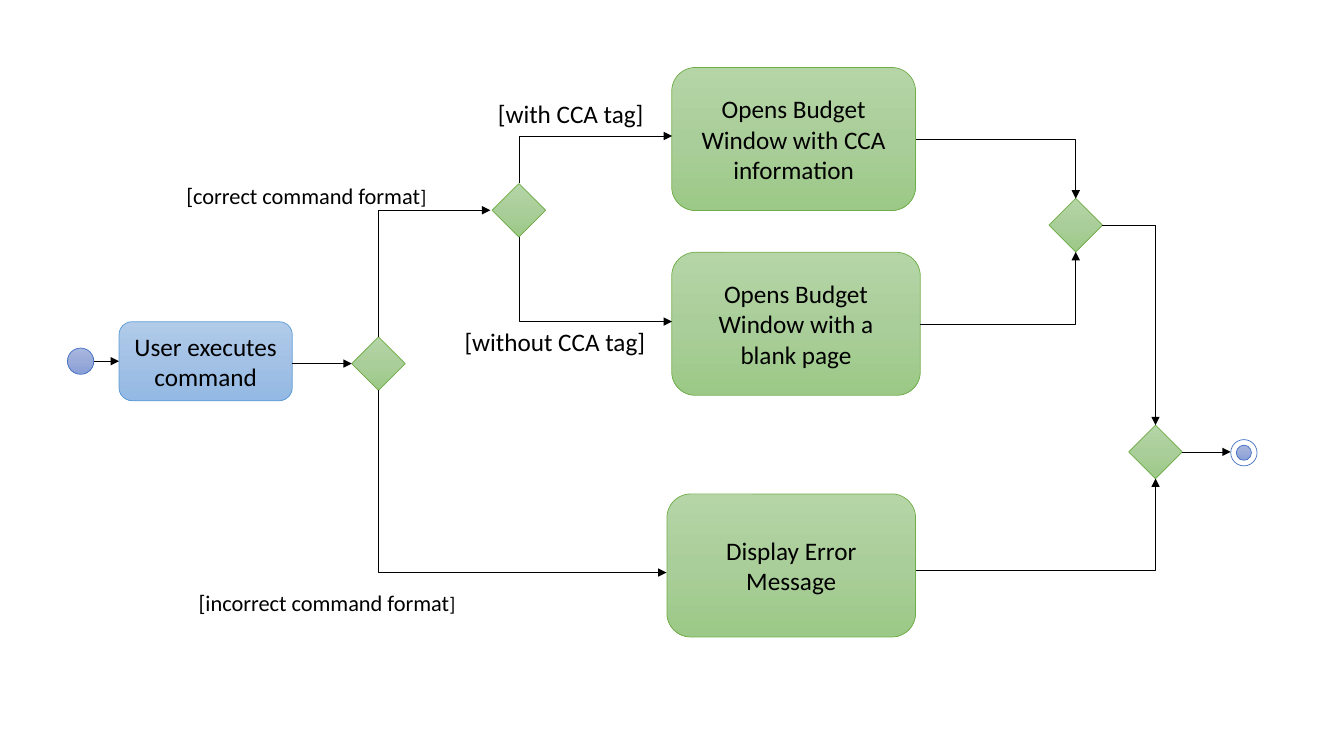
from copy import deepcopy
from lxml.etree import SubElement
from pptx import Presentation
from pptx.dml.color import RGBColor as RGB
from pptx.enum.shapes import MSO_CONNECTOR as CXN, MSO_SHAPE as SHP
from pptx.enum.text import MSO_ANCHOR as ANC, MSO_AUTO_SIZE as FIT, PP_ALIGN as AL
from pptx.oxml.ns import qn
from pptx.util import Pt

COLORS = {
    "ink": "000000", "paper": "FFFFFF",
    "green": ["B5D5A7", "AACE9A", "9CC987"], "green_line": "70AD47",
    "blue": ["B1CBE9", "A3C1E5", "93B9E4"], "blue_line": "5B9BD5",
    "indigo": ["A8B7DF", "9AABD9", "889ED7"], "indigo_line": "4472C4",
}
HALF = 19.1


class Diagram:
    font = {"name": "Calibri", "size": Pt(18)}
    frame = {"word_wrap": True, "margin_left": Pt(7.2), "margin_right": Pt(7.2),
             "margin_top": Pt(3.6), "margin_bottom": Pt(3.6)}
    line_width = Pt(0.5)

    def __init__(self, s):
        self.s = s

    def rgb(self, name):
        return RGB.from_string(COLORS[name])

    def apply(self, obj, values):
        for key, value in values.items():
            setattr(obj, key, value)

    def add_runs(self, tf, runs, align, anchor):
        self.apply(tf, {**self.frame, "vertical_anchor": anchor})
        p = tf.paragraphs[0]
        p.alignment = align
        for text, size in runs:
            r = p.add_run()
            r.text = text
            self.apply(r.font, {**self.font, "size": Pt(size)})
            r.font.color.rgb = self.rgb("ink")

    def gradient(self, sp, stops):
        sp.fill.gradient()
        sp.fill.gradient_angle = 270
        gs_list = sp._element.spPr.find(".//" + qn("a:gsLst"))
        gs_list.insert(1, deepcopy(gs_list[0]))
        for i, (stop, color) in enumerate(zip(sp.fill.gradient_stops, stops)):
            stop.position = i / 2
            stop.color.rgb = RGB.from_string(color)

    def shape(self, kind, x, y, w, h, color, text="", shapes=None, filled=True):
        sp = (shapes or self.s.shapes).add_shape(kind, Pt(x), Pt(y), Pt(w), Pt(h))
        sp.shadow.inherit = False
        if filled:
            self.gradient(sp, COLORS[color])
        else:
            sp.fill.solid()
            sp.fill.fore_color.rgb = self.rgb("paper")
        sp.line.color.rgb = self.rgb(color + "_line")
        sp.line.width = self.line_width
        if text:
            self.add_runs(sp.text_frame, [(text, 18)], AL.CENTER, ANC.MIDDLE)

    def circle(self, cx, cy, d, **options):
        self.shape(SHP.OVAL, cx - d / 2, cy - d / 2, d, d, "indigo", **options)

    def box(self, x, y, w, h, color, text):
        self.shape(SHP.ROUNDED_RECTANGLE, x, y, w, h, color, text)

    def diamond(self, cx, cy):
        self.shape(SHP.DIAMOND, cx - HALF, cy - HALF, 2 * HALF, 2 * HALF, "green")

    def label(self, x, y, w, h, runs, align=AL.LEFT):
        tf = self.s.shapes.add_textbox(Pt(x), Pt(y), Pt(w), Pt(h)).text_frame
        self.add_runs(tf, runs, align, ANC.TOP)
        tf.auto_size = FIT.SHAPE_TO_FIT_TEXT

    def arrow(self, x1, y1, x2, y2, kind=CXN.STRAIGHT):
        c = self.s.shapes.add_connector(kind, Pt(x1), Pt(y1), Pt(x2), Pt(y2))
        c.line.color.rgb = self.rgb("ink")
        c.line.width = self.line_width
        spPr = c._element.spPr
        SubElement(spPr.find(qn("a:ln")), qn("a:tailEnd"), type="triangle")
        SubElement(spPr, qn("a:effectLst"))
        return spPr

    def across(self, x1, y1, x2, y2):
        spPr = self.arrow(x1, y1, x2, y2, CXN.ELBOW)
        spPr.find(qn("a:prstGeom")).set("prst", "bentConnector2")
        return spPr

    def upright(self, x1, y1, x2, y2):
        cx, cy = (x1 + x2) / 2, (y1 + y2) / 2
        down = y2 > y1
        dx = abs(y2 - y1) / 2
        dy = (x2 - x1) / 2 * (1 if down else -1)
        spPr = self.across(cx + dx, cy - dy, cx - dx, cy + dy)
        spPr.find(qn("a:xfrm")).set("rot", str((270 if down else 90) * 60000))


def main():
    prs = Presentation()
    prs.slide_width, prs.slide_height = Pt(960), Pt(540)
    d = Diagram(prs.slides.add_slide(prs.slide_layouts[6]))

    format_x, format_y = 270.4, 259.7
    tag_x, tag_y = 370.6, 150.2
    join_x, join_y = 768.4, 160.9
    last_x, last_y = 825.4, 322.8
    end_x = 888.5

    d.circle(57.6, 258, 18.8)
    d.box(85, 229.8, 123.8, 56.4, "blue", "User executes command")
    d.box(479.8, 48.2, 174.2, 102.2, "green", "Opens Budget Window with CCA information")
    d.box(479.8, 180.2, 177.6, 102.2, "green", "Opens Budget Window with a blank page")
    d.box(476.4, 352.8, 177.6, 102.2, "green", "Display Error Message")
    for cx, cy in ((format_x, format_y), (tag_x, tag_y), (join_x, join_y), (last_x, last_y)):
        d.diamond(cx, cy)
    ring = d.s.shapes.add_group_shape().shapes
    d.circle(end_x, 323.4, 18.8, shapes=ring, filled=False)
    d.circle(end_x, 323.4, 10.8, shapes=ring)

    d.arrow(67, 258, 85, 258)
    d.arrow(208.8, format_y, format_x - HALF, format_y)
    d.arrow(last_x + HALF, last_y, 879.1, last_y)
    d.upright(format_x, format_y - HALF, 350.2, tag_y)
    d.upright(format_x, format_y + HALF, 476.2, 409)
    d.upright(tag_x, tag_y - HALF, 480, 97.2)
    d.upright(tag_x, tag_y + HALF, 480, 229.7)
    d.across(654, 99.2, join_x, join_y - HALF)
    d.across(657.4, 231.4, join_x, join_y + HALF)
    d.across(join_x + HALF, join_y, last_x, last_y - HALF)
    d.across(654, 407.5, last_x, last_y + HALF)

    d.label(348.5, 67, 123.1, 29, [("[with CCA tag]", 18)])
    d.label(324.7, 229.7, 147.6, 29, [("[without CCA tag]", 18)])
    d.label(123.8, 126.7, 190, 26.6, [("[correct command format", 16), ("]", 14)], AL.CENTER)
    d.label(131, 417.6, 205.2, 26.6, [("[incorrect command format", 16), ("]", 14)], AL.CENTER)
    prs.save("out.pptx")


if __name__ == "__main__":
    main()
